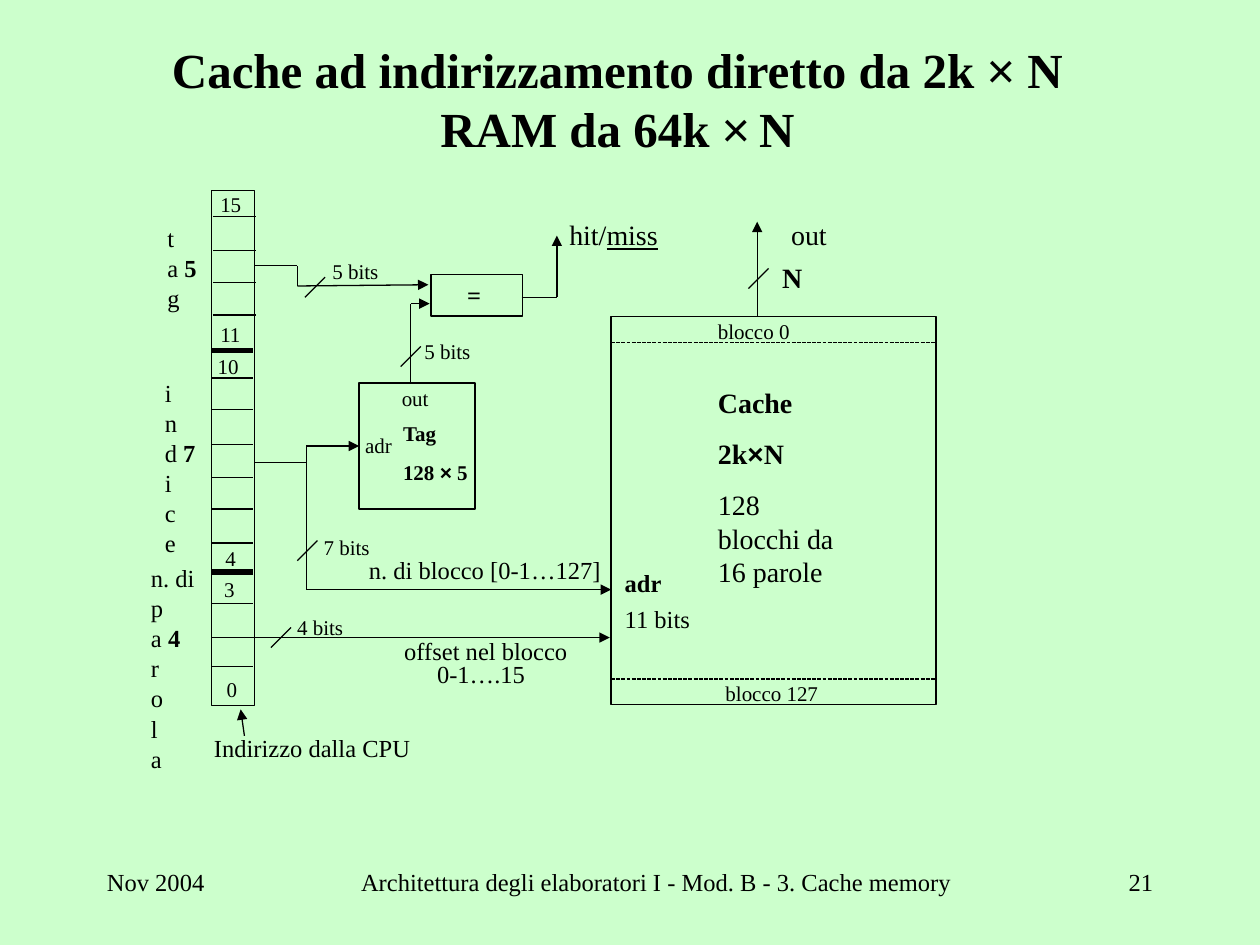
from lxml.etree import SubElement
from pptx import Presentation
from pptx.dml.color import RGBColor
from pptx.enum.dml import MSO_LINE_DASH_STYLE as Dash
from pptx.enum.shapes import MSO_CONNECTOR as Connector, MSO_SHAPE as Shape
from pptx.enum.text import MSO_ANCHOR as Anchor, MSO_AUTO_SIZE as AutoSize, PP_ALIGN as Align
from pptx.oxml.ns import qn
from pptx.util import Inches, Pt

color = RGBColor.from_string
BLACK = "000000"
BOLD = {"bold": True}
SYMBOL = {"name": "Arial"}
LIGHT_SYMBOL = {"name": "Arial", "bold": False}

deck = Presentation()
deck.slide_width, deck.slide_height = Inches(10), Inches(7.5)
slide = deck.slides.add_slide(deck.slide_layouts[6])
slide.background.fill.solid()
slide.background.fill.fore_color.rgb = color("CCFFCC")


def add_text(box, paragraphs, size, base={}, layout={}, frame_format={}):
    frame = slide.shapes.add_textbox(*map(Inches, box)).text_frame
    frame_values = {"word_wrap": True, "auto_size": AutoSize.SHAPE_TO_FIT_TEXT, **frame_format}
    for key, value in frame_values.items():
        setattr(frame, key, value)
    for index, runs in enumerate(paragraphs):
        paragraph = frame.add_paragraph() if index else frame.paragraphs[0]
        for key, value in {"space_before": Pt(round(size * 0.625, 1)), **layout}.items():
            setattr(paragraph, key, value)
        for part, extra in [(runs, {})] if isinstance(runs, str) else runs:
            if part == "\n":
                paragraph.add_line_break()
                continue
            run = paragraph.add_run()
            run.text = part
            font_values = {"name": "Times New Roman", "size": Pt(size), **base, **extra}
            for key, value in font_values.items():
                setattr(run.font, key, value)
            run.font.color.rgb = color(BLACK)


def add_line(start, end, arrow=False, width=0.75, dash=None):
    wire = slide.shapes.add_connector(Connector.STRAIGHT, *map(Inches, (*start, *end)))
    wire.line.color.rgb = color(BLACK)
    wire.line.width = Pt(width)
    if dash:
        wire.line.dash_style = dash
    if arrow:
        SubElement(wire.line._get_or_add_ln(), qn("a:tailEnd"), type="triangle")
    SubElement(wire._element.spPr, qn("a:effectLst"))


flush = {"space_before": Pt(0)}
fixed = {"auto_size": AutoSize.NONE}
title = [
    ("Cache ad indirizzamento diretto da 2k ", {}), ("×", LIGHT_SYMBOL), (" N", {}), ("\n", {}),
    ("RAM da 64k ", {}), ("×", LIGHT_SYMBOL), (" ", {"size": Pt(20)}), ("N", {}),
]
add_text((0.65, 0.53, 8.5, 0.5), [title], 28, BOLD,
         {**flush, "alignment": Align.CENTER}, {**fixed, "vertical_anchor": Anchor.MIDDLE})

cache = (4.85, 2.51, 2.58, 3.08)
address = (1.68, 1.51, 0.34, 4.09)
tag_memory = (2.85, 3.04, 0.92, 1)
comparator = (3.42, 2.18, 0.73, 0.33)
for block in (cache, address, tag_memory, comparator):
    outline = slide.shapes.add_shape(Shape.RECTANGLE, *map(Inches, block))
    outline.shadow.inherit = False
    outline.fill.background()
    outline.line.color.rgb = color(BLACK)
    outline.line.width = Pt(0.75)

for y in (1.72, 1.99, 2.24, 2.5):
    add_line((1.69, y), (2.03, y))
for y in (3, 3.25, 3.53, 3.79, 4.04, 4.31, 4.79, 5.06, 5.29):
    add_line((1.68, y), (2.01, y))
for y in (2.78, 4.54):
    add_line((1.68, y), (2.01, y), width=3)
for y in (2.72, 5.39):
    add_line((4.85, y), (7.43, y), dash=Dash.SQUARE_DOT)

wires = [
    [(2.02, 2.11), (2.36, 2.11), (2.36, 2.27), (3.4, 2.26)],
    [(3.26, 3.04), (3.26, 2.41), (3.41, 2.41)],
    [(4.14, 2.36), (4.42, 2.36), (4.42, 1.87)],
    [(2.02, 3.67), (2.43, 3.67)],
    [(2.43, 4.68), (2.43, 3.54), (2.85, 3.54)],
    [(2.43, 4.68), (4.85, 4.68)],
    [(2.01, 5.06), (4.84, 5.06)],
    [(6.01, 2.51), (6.01, 1.76)],
    [(1.94, 5.84), (1.91, 5.63)],
]
index_tap = wires[3]
for wire_points in wires:
    for start, end in zip(wire_points, wire_points[1:]):
        add_line(start, end, arrow=end == wire_points[-1] and wire_points is not index_tap)

for x, y in ((2.5, 2.28), (3.26, 2.83), (2.44, 4.37), (2.23, 5.06), (6.02, 2.21)):
    add_line((x + 0.08, y - 0.08), (x - 0.08, y + 0.08))

for x, y, width, label in (
    (1.65, 1.47, 0.6, "15"), (1.65, 2.5, 0.6, "11"), (1.63, 2.76, 0.6, "10"),
    (1.69, 4.28, 0.6, "4"), (1.68, 4.53, 0.6, "3"), (1.7, 5.32, 0.6, "0"),
    (2.54, 2, 1, "5 bits"), (3.27, 2.64, 1, "5 bits"),
    (2.47, 4.19, 1, "7 bits"), (2.26, 4.83, 1, "4 bits"), (2.8, 3.38, 0.68, "adr"),
    (5.6, 2.48, 1.84, "blocco 0"), (5.66, 5.35, 1.84, "blocco 127"),
):
    add_text((x, y, width, 0.3), [label], 12)
add_text((3.09, 3.01, 0.41, 0.3), ["out"], 12, layout=flush, frame_format={"word_wrap": False})

for x, y, label in (
    (2.83, 4.36, "n. di blocco [0-1…127]"), (3.11, 5, "offset nel blocco"), (3.37, 5.18, "0-1….15"),
):
    add_text((x, y, 2.08, 0.34), [label], 14)
add_text((3.61, 2.17, 0.28, 0.34), ["="], 14, BOLD)

stacked = {"line_spacing": 0.5}
for box, letters in (
    ((1.23, 1.82, 0.9, 0.7), ["t", [("a ", {}), ("5", BOLD)], "g"]),
    ((1.21, 3.05, 0.9, 1.77), ["i", "n", [("d ", {}), ("7", BOLD)], "i", "c", "e"]),
    ((1.1, 4.52, 0.9, 1.89), ["n. di", "p", [("a ", {}), ("4", BOLD)], "r", "o", "l", "a"]),
    ((1.6, 5.87, 5.04, 0.22), ["Indirizzo dalla CPU"]),
):
    add_text(box, letters, 14, layout=stacked)
add_text((4.86, 4.52, 0.94, 0.55), [[("adr", BOLD)], "11 bits"], 14, layout={"line_spacing": 0.7})

add_text((3.1, 3.29, 2.08, 0.61), ["Tag", [("128 ", {}), ("×", SYMBOL), (" 5", {})]], 12, BOLD)
cache_size = [("2k", BOLD), ("×", {**SYMBOL, **BOLD}), ("N", BOLD)]
add_text((5.6, 3.01, 1.17, 1.71), [[("Cache", BOLD)], cache_size, "128 blocchi da 16 parole"], 16)
add_text((4.42, 1.68, 1, 0.37), [[("hit/", {}), ("miss", {"underline": True})]], 16)
add_text((6.18, 1.68, 0.92, 0.37), ["out"], 16)
add_text((6.11, 2.02, 0.5, 0.37), ["N"], 16, BOLD, flush)

for x, width, label, alignment in (
    (0.75, 1.67, "Nov 2004", Align.LEFT),
    (2.67, 5.08, "Architettura degli elaboratori I - Mod. B - 3. Cache memory", Align.CENTER),
    (8.17, 1.08, "21", Align.RIGHT),
):
    add_text((x, 6.83, width, 0.5), [label], 14, layout={**flush, "alignment": alignment}, frame_format=fixed)

deck.save("out.pptx")
